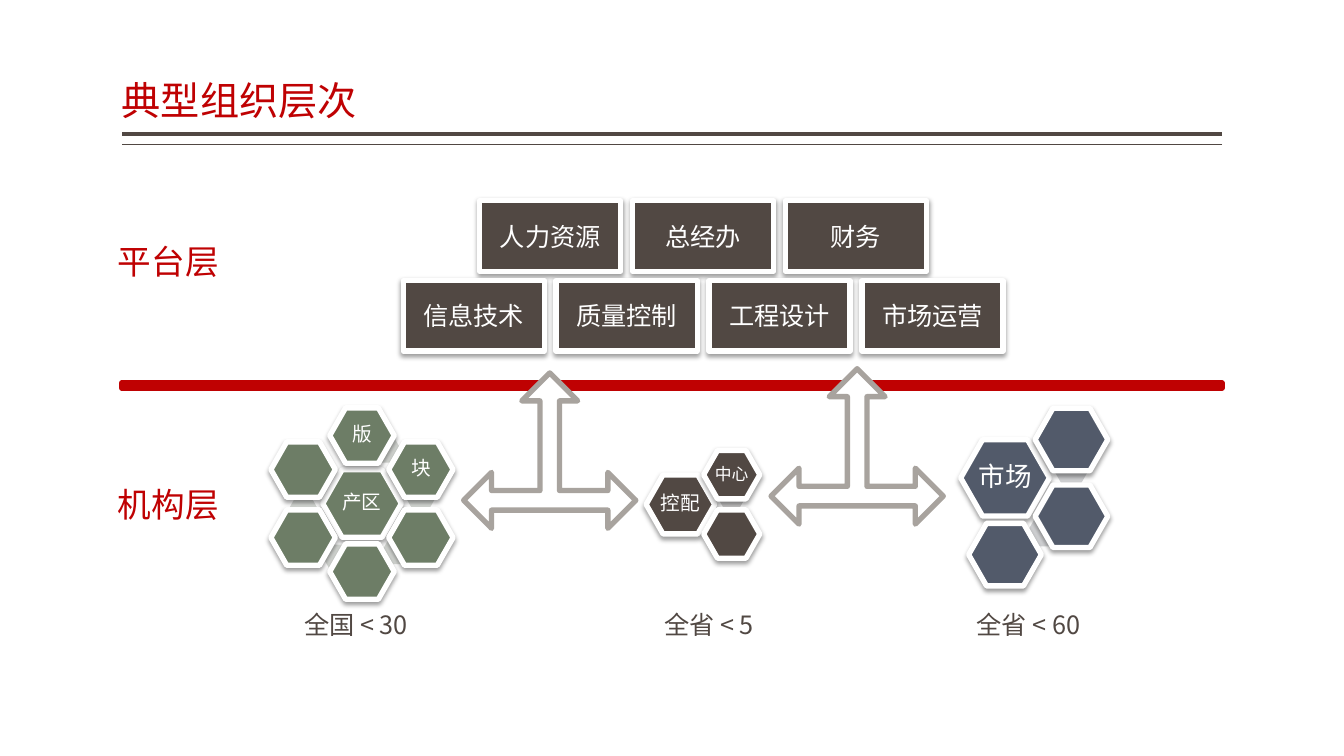
from dataclasses import dataclass
from math import cos, radians, sin

from lxml.etree import SubElement
from pptx import Presentation
from pptx.dml.color import RGBColor
from pptx.enum.shapes import MSO_CONNECTOR, MSO_SHAPE as Preset
from pptx.enum.text import MSO_ANCHOR as Anchor, MSO_AUTO_SIZE as AutoSize, PP_ALIGN as Align
from pptx.oxml.ns import qn
from pptx.util import Inches, Pt

COLUMNS, ROWS = 160, 90


@dataclass(frozen=True)
class Theme:
    red: str = "BF0102"
    brown: str = "514843"
    green: str = "6D7D66"
    slate: str = "525A6A"
    pale_green: str = "D4D7D3"
    pale_brown: str = "D0CFCF"
    pale_slate: str = "D1D2D4"
    taupe: str = "A8A39E"
    white: str = "FFFFFF"
    font: str = "Noto Sans CJK SC"
    hexagon_font: str = "Calibri"
    title_size: int = 28
    layer_size: int = 24
    market_size: int = 19
    body_size: int = 18
    hexagon_size: int = 14
    small_size: int = 12
    border: float = 3.8


class SlideBuilder:
    def __init__(self, deck, theme):
        self.theme = theme
        self.slide = deck.slides.add_slide(deck.slide_layouts[5])
        self.column = deck.slide_width / COLUMNS
        self.row = deck.slide_height / ROWS

    def place(self, left, top, width, height):
        """Turn grid columns and rows into slide lengths."""
        return (round(left * self.column), round(top * self.row),
                round(width * self.column), round(height * self.row))

    def set_text(self, frame, text, size, color, align=Align.LEFT, font=None):
        paragraph = frame.paragraphs[0]
        paragraph.text = text
        paragraph.alignment = align
        style = paragraph.font
        style.size = Pt(size)
        style.name = font or self.theme.font
        style.color.rgb = RGBColor.from_string(color)
        properties = paragraph._p.pPr.find(qn("a:defRPr"))
        SubElement(properties, qn("a:ea"), typeface=self.theme.font)
        return paragraph

    def title(self, text, *box):
        heading = self.slide.shapes.title
        heading.left, heading.top, heading.width, heading.height = self.place(*box)
        frame = heading.text_frame
        frame.auto_size = AutoSize.NONE
        frame.vertical_anchor = Anchor.BOTTOM
        frame.margin_left = frame.margin_right = 0
        paragraph = self.set_text(frame, text, self.theme.title_size, self.theme.red)
        paragraph.line_spacing = 0.9

    def rule(self, left, top, width, weight):
        x, y, length, _ = self.place(left, top, width, 0)
        line = self.slide.shapes.add_connector(MSO_CONNECTOR.STRAIGHT, x + length, y, x, y)
        line.line.color.rgb = RGBColor.from_string(self.theme.brown)
        line.line.width = Pt(weight)
        SubElement(line._element.spPr, qn("a:effectLst"))

    def shape(self, preset, box, fill, border=None, adjustments=()):
        drawn = self.slide.shapes.add_shape(preset, *self.place(*box))
        drawn.shadow.inherit = False
        for index, value in enumerate(adjustments):
            drawn.adjustments[index] = value
        drawn.fill.solid()
        drawn.fill.fore_color.rgb = RGBColor.from_string(fill)
        if border:
            drawn.line.color.rgb = RGBColor.from_string(border)
            drawn.line.width = Pt(self.theme.border)
        else:
            drawn.line.fill.background()
        return drawn

    def card(self, preset, box, fill, adjustments=()):
        """Add a white-edged shape with a soft shadow below it."""
        drawn = self.shape(preset, box, fill, self.theme.white, adjustments)
        effects = drawn._element.spPr.find(qn("a:effectLst"))
        shadow = SubElement(effects, qn("a:outerShdw"), blurRad=str(Pt(3.5)),
                            dist=str(Pt(2)), dir="5400000", rotWithShape="0")
        black = SubElement(shadow, qn("a:srgbClr"), val="000000")
        SubElement(black, qn("a:alpha"), val="38000")
        return drawn

    def department_row(self, names, center, top, width=16.8, height=8.4, pitch=18.2):
        first = center - (pitch * (len(names) - 1) + width) / 2
        for index, name in enumerate(names):
            box = (first + index * pitch, top, width, height)
            department = self.card(Preset.RECTANGLE, box, self.theme.brown)
            frame = department.text_frame
            frame.vertical_anchor = Anchor.MIDDLE
            self.set_text(frame, name, self.theme.body_size, self.theme.white, Align.CENTER)

    def hexagon(self, center, width, fill, text="", size=0, raised=True):
        x, y = center
        height = width * 0.86
        box = (x - width / 2, y - height / 2, width, height)
        cell = (self.card if raised else self.shape)(
            Preset.HEXAGON, box, fill, adjustments=(0.286,))
        if text:
            frame = cell.text_frame
            frame.word_wrap = False
            frame.vertical_anchor = Anchor.MIDDLE
            frame.margin_left = frame.margin_right = Inches(0.02)
            frame.margin_top = frame.margin_bottom = Inches(0.02)
            paragraph = self.set_text(frame, text, size, self.theme.white, Align.CENTER,
                                      self.theme.hexagon_font)
            paragraph.line_spacing = 0.9

    def honeycomb(self, hub, width, fill, pale, hub_text, hub_size, petals, petal_size):
        """Ring a hub with petals, given as clockwise angle from north to text."""
        def around(angle, radius):
            turn = radians(angle)
            return (hub[0] + radius * width * sin(turn),
                    hub[1] - radius * width * cos(turn))

        self.hexagon(hub, width, fill, hub_text, hub_size)
        last = max(petals)
        for angle, text in petals.items():
            if angle != last:
                self.hexagon(around(angle + 24.5, 0.75), width * 0.375, pale, raised=False)
            self.hexagon(around(angle, 0.865), width * 0.82, fill, text, petal_size)

    def exchange_arrow(self, left, top):
        self.shape(Preset.LEFT_RIGHT_UP_ARROW, (left, top, 20.5, 18.5), self.theme.white,
                   self.theme.taupe, (0.126, 0.18, 0.18))

    def label(self, text, box, size, color):
        frame = self.slide.shapes.add_textbox(*self.place(*box)).text_frame
        frame.word_wrap = False
        frame.auto_size = AutoSize.SHAPE_TO_FIT_TEXT
        self.set_text(frame, text, size, color)


def main():
    deck = Presentation()
    deck.slide_width, deck.slide_height = Inches(13.33), Inches(7.5)
    theme = Theme()
    page = SlideBuilder(deck, theme)
    left, width = 14.5, 131

    page.rule(left, 16, width, 3)
    page.rule(left, 17.2, width, 1)
    page.shape(Preset.RECTANGLE, (left, 45.6, width, 0.6), theme.red, theme.red)
    page.title("典型组织层次", left, 1, width, 14.4)

    page.honeycomb((43.1, 59.95), 9.36, theme.green, theme.pale_green,
                   "产区", theme.hexagon_size,
                   {0: "版", 60: "块", 120: "", 180: "", 240: "", 300: ""},
                   theme.hexagon_size)
    page.department_row(("人力资源", "总经办", "财务"), 83.7, 23.9)
    page.department_row(("信息技术", "质量控制", "工程设计", "市场运营"), 83.7, 33.4)
    page.honeycomb((81, 60.05), 8.16, theme.brown, theme.pale_brown,
                   "控配", theme.hexagon_size, {60: "中心", 120: ""}, theme.small_size)
    page.honeycomb((119.65, 56.9), 10.56, theme.slate, theme.pale_slate,
                   "市场", theme.market_size, {60: "", 120: "", 180: ""}, theme.hexagon_size)

    page.exchange_arrow(55.2, 44.4)
    page.exchange_arrow(91.8, 43.9)

    for reach, column in (("全国 < 30", 35.05), ("全省 < 5", 77.9), ("全省 < 60", 115.1)):
        page.label(reach, (column, 71.9, 16, 4.8), theme.body_size, theme.brown)
    for layer, row in (("平台层", 28.1), ("机构层", 57)):
        page.label(layer, (12.85, row, 14.5, 6), theme.layer_size, theme.red)

    deck.save("out.pptx")


if __name__ == "__main__":
    main()
